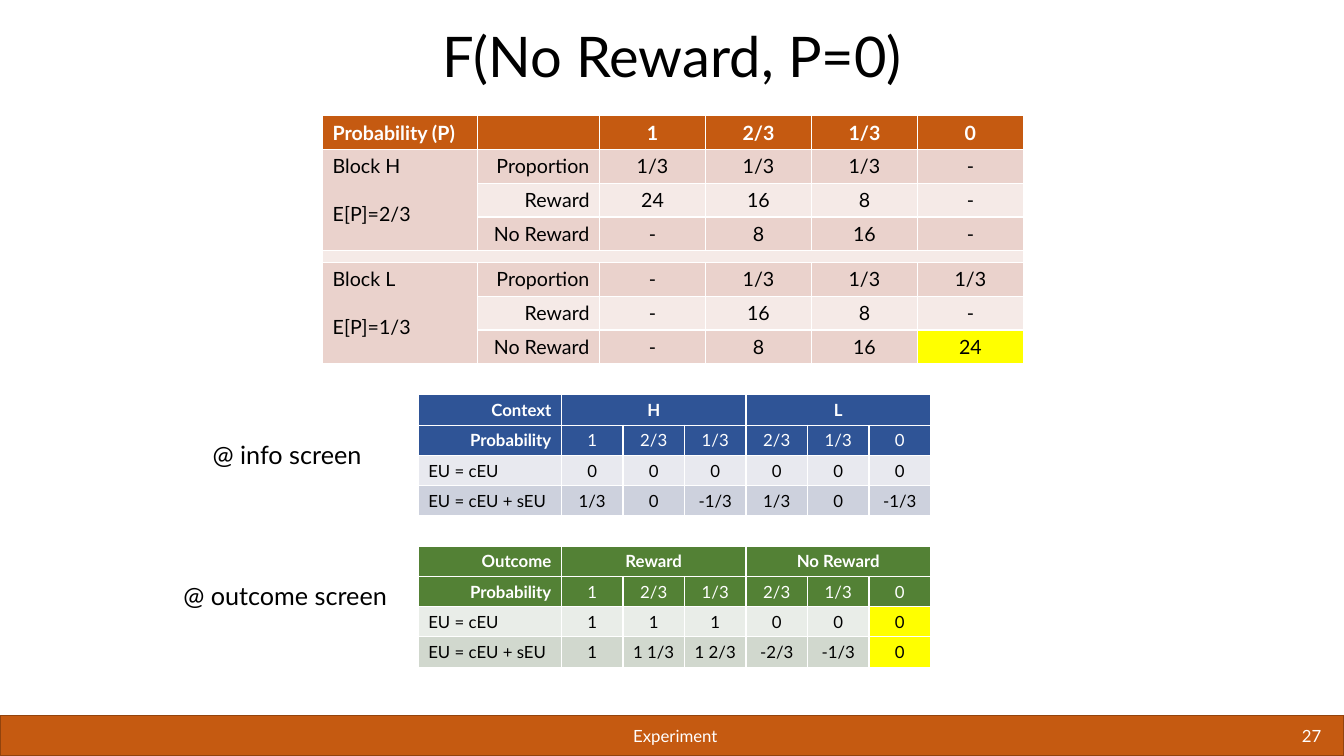
from lxml import etree
from pptx import Presentation
from pptx.dml.color import RGBColor
from pptx.enum import shapes, text
from pptx.oxml import ns
from pptx.util import Cm, Pt

FONT = "Lato"
WHITE = RGBColor(0xFF, 0xFF, 0xFF)
BLACK = RGBColor(0, 0, 0)
YELLOW = RGBColor(0xFF, 0xFF, 0)
RUST = RGBColor(0xC5, 0x5A, 0x11)
BROWN = RGBColor(0x92, 0x43, 0x0D)
ROSE = RGBColor(0xEA, 0xD2, 0xCC)
BLUSH = RGBColor(0xF5, 0xEA, 0xE7)
BLUE = RGBColor(0x2F, 0x54, 0x96)
MIST = RGBColor(0xE8, 0xE9, 0xEF)
STEEL = RGBColor(0xCD, 0xD1, 0xDD)
GREEN = RGBColor(0x53, 0x81, 0x35)
PALE = RGBColor(0xE9, 0xED, 0xE8)
SAGE = RGBColor(0xD1, 0xD8, 0xCE)

LEFT, MID, RIGHT = text.PP_ALIGN.LEFT, text.PP_ALIGN.CENTER, text.PP_ALIGN.RIGHT
TOP, CORE, BASE = (text.MSO_ANCHOR.TOP, text.MSO_ANCHOR.MIDDLE,
                   text.MSO_ANCHOR.BOTTOM)

deck = Presentation()
deck.slide_width, deck.slide_height = Cm(33.87), Cm(19.05)
slide = deck.slides.add_slide(deck.slide_layouts[6])


def write(box, words, size, color, align, bold=False):
    box.text = words
    for par in box.paragraphs:
        par.alignment = align
        for run in par.runs:
            run.font.name, run.font.size = FONT, Pt(size)
            run.font.color.rgb, run.font.bold = color, bold
        if not par.runs:
            # An empty cell must not stretch its row
            etree.SubElement(par._p, ns.qn("a:endParaRPr"), sz="100")


def grid(x, y, widths, heights, rows, spans, size, tints, heads, aligns, marks):
    """Draw a table; the first `heads` rows take tints[0], the rest alternate."""
    table = slide.shapes.add_table(len(rows), len(widths), Cm(x), Cm(y),
                                   Cm(sum(widths)), Cm(sum(heights))).table
    for col, width in zip(table.columns, widths):
        col.width = Cm(width)
    for r, row in enumerate(rows):
        table.rows[r].height = Cm(heights[r])
        for c, words in enumerate(row):
            cell = table.cell(r, c)
            head = r < heads
            tint = tints[0] if head else tints[1 + (r - heads) % 2]
            cell.fill.solid()
            cell.fill.fore_color.rgb = YELLOW if (r, c) in marks else tint
            align = MID if c >= len(aligns[r]) else aligns[r][c]
            write(cell.text_frame, words, size, WHITE if head else BLACK,
                  align, r == 0 or (head and c == 0))
    for r, c, down, across in spans:
        table.cell(r, c).merge(table.cell(r + down - 1, c + across - 1))
    return table


# Footer bar
bar = slide.shapes.add_shape(shapes.MSO_SHAPE.RECTANGLE, 0, Cm(18.03),
                             deck.slide_width, Cm(1.02))
bar.shadow.inherit = False
bar.fill.solid()
bar.fill.fore_color.rgb = RUST
bar.line.color.rgb, bar.line.width = BROWN, Pt(1)

# Title, footer texts and screen labels
for words, x, y, w, h, size, color, align, anchor, wrap in [
    ("F(No Reward, P=0)", 1.68, 0.58, 30.5, 1.8, 40, BLACK, MID, BASE, True),
    ("Experiment", 5.69, 18.03, 22.66, 1.02, 12, WHITE, MID, CORE, True),
    ("27", 28.32, 18.03, 5.23, 1.02, 12, WHITE, RIGHT, CORE, True),
    ("@ info screen", 5.11, 10.95, 4.32, 1.02, 18, BLACK, LEFT, TOP, False),
    ("@ outcome screen", 4.37, 14.5, 5.77, 1.02, 18, BLACK, LEFT, TOP, False),
]:
    frame = slide.shapes.add_textbox(Cm(x), Cm(y), Cm(w), Cm(h)).text_frame
    frame.word_wrap, frame.vertical_anchor = wrap, anchor
    write(frame, words, size, color, align)
    if anchor == BASE:
        frame.paragraphs[0].line_spacing = 0.9

# Trial counts by block
blocks = grid(
    8.13, 2.92, [3.91, 3.07] + [2.67] * 4, [0.85] * 4 + [0.29] + [0.85] * 3,
    [
        ["Probability (P)", "", "1", "2/3", "1/3", "0"],
        ["Block H\nE[P]=2/3", "Proportion", "1/3", "1/3", "1/3", "-"],
        ["", "Reward", "24", "16", "8", "-"],
        ["", "No Reward", "-", "8", "16", "-"],
        [""] * 6,
        ["Block L\nE[P]=1/3", "Proportion", "-", "1/3", "1/3", "1/3"],
        ["", "Reward", "-", "16", "8", "-"],
        ["", "No Reward", "-", "8", "16", "24"],
    ],
    [(1, 0, 3, 1), (4, 0, 1, 6), (5, 0, 3, 1)],
    14, (RUST, ROSE, BLUSH), 1, [(LEFT, RIGHT)] * 8, {(7, 5)})
for r in (1, 5):
    blocks.cell(r, 0).text_frame.paragraphs[1].space_before = Pt(16.8)

# Expected utility at each screen
odds = ["Probability", "1", "2/3", "1/3", "2/3", "1/3", "0"]
for y, tints, top, plain, both, marks in [
    (9.95, (BLUE, MIST, STEEL), ("Context", "H", "L"),
     ["0"] * 6, ["1/3", "0", "-1/3"] * 2, set()),
    (13.76, (GREEN, PALE, SAGE), ("Outcome", "Reward", "No Reward"),
     ["1"] * 3 + ["0"] * 3, ["1", "1 1/3", "1 2/3", "-2/3", "-1/3", "0"],
     {(2, 6), (3, 6)}),
]:
    name, near, far = top
    grid(10.54, y, [3.61] + [1.55] * 6, [0.76] * 4,
         [[name, near, "", "", far, "", ""], odds,
          ["EU = cEU"] + plain, ["EU = cEU + sEU"] + both],
         [(0, 1, 1, 3), (0, 4, 1, 3)],
         12, tints, 2, [(RIGHT,)] * 2 + [(LEFT,)] * 2, marks)

deck.save("out.pptx")
